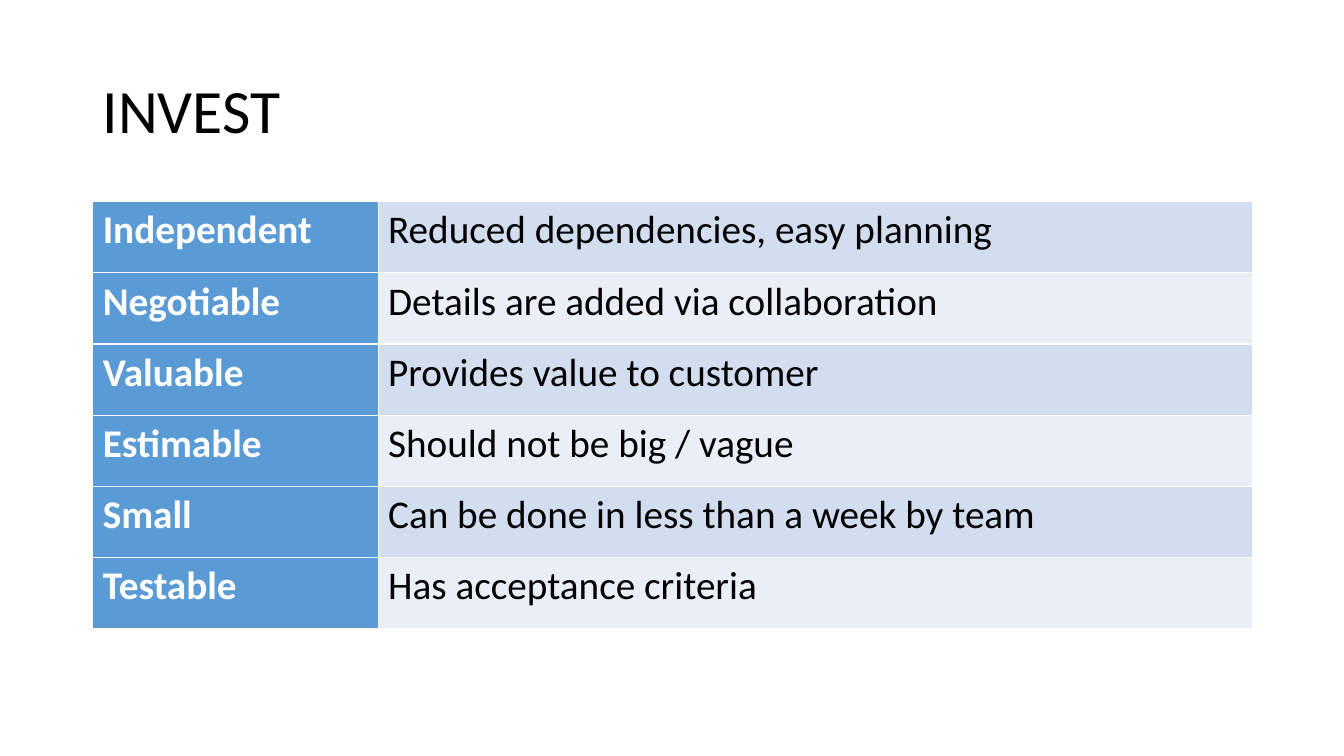
import pptx
import pptx.util
import pptx.dml.color
import pptx.enum.text
import pptx.oxml
import pptx.oxml.ns
from pptx.util import Inches

TITLE = "INVEST"
CRITERIA = [
    ("Independent", "Reduced dependencies, easy planning"),
    ("Negotiable", "Details are added via collaboration"),
    ("Valuable", "Provides value to customer"),
    ("Estimable", "Should not be big / vague"),
    ("Small", "Can be done in less than a week by team"),
    ("Testable", "Has acceptance criteria"),
]
COLORS = {
    "text": "000000",
    "white": "FFFFFF",
    "label": "5B9BD5",
    "odd": "D2DEEF",
    "even": "EAEFF7",
}
FONT = "Calibri"
LEFT, WIDTH = 0.92, 11.5
COLUMN_WIDTHS = (2.83, 8.67)
TABLE_TOP, TABLE_HEIGHT = 2, 4.24


def rgb(name):
    return pptx.dml.color.RGBColor.from_string(COLORS[name])


def style_text(para, size, color, bold=False):
    for span in para.runs:
        span.font.name = FONT
        span.font.size = pptx.util.Pt(size)
        span.font.bold = bold
        span.font.color.rgb = rgb(color)


def add_borders(cell):
    properties = cell._tc.get_or_add_tcPr()
    for position, side in enumerate(("lnL", "lnR", "lnT", "lnB")):
        line = pptx.oxml.parse_xml(
            f'<a:{side} {pptx.oxml.ns.nsdecls("a")} w="12700"><a:solidFill>'
            f'<a:srgbClr val="{COLORS["white"]}"/></a:solidFill></a:{side}>'
        )
        properties.insert(position, line)


def fill_cell(cell, text, fill, color, bold):
    cell.text_frame.text = text
    style_text(cell.text_frame.paragraphs[0], 28, color, bold)
    cell.fill.solid()
    cell.fill.fore_color.rgb = rgb(fill)
    add_borders(cell)


def main():
    deck = pptx.Presentation()
    deck.slide_width, deck.slide_height = Inches(13.33), Inches(7.5)
    page = deck.slides.add_slide(deck.slide_layouts[6])

    # Title
    box = page.shapes.add_textbox(Inches(LEFT), Inches(0.4), Inches(WIDTH), Inches(1.45))
    frame = box.text_frame
    frame.word_wrap = True
    frame.vertical_anchor = pptx.enum.text.MSO_ANCHOR.MIDDLE
    frame.text = TITLE
    frame.paragraphs[0].line_spacing = 0.9
    style_text(frame.paragraphs[0], 44, "text")

    # Criteria table: bold labels, banded descriptions
    table = page.shapes.add_table(
        len(CRITERIA), len(COLUMN_WIDTHS),
        Inches(LEFT), Inches(TABLE_TOP), Inches(WIDTH), Inches(TABLE_HEIGHT),
    ).table
    table.first_row = False
    table.first_col = True
    for column, width in zip(table.columns, COLUMN_WIDTHS):
        column.width = Inches(width)
    for index, (label, description) in enumerate(CRITERIA):
        band = "even" if index % 2 else "odd"
        fill_cell(table.cell(index, 0), label, "label", "white", True)
        fill_cell(table.cell(index, 1), description, band, "text", False)

    deck.save("out.pptx")


if __name__ == "__main__":
    main()
